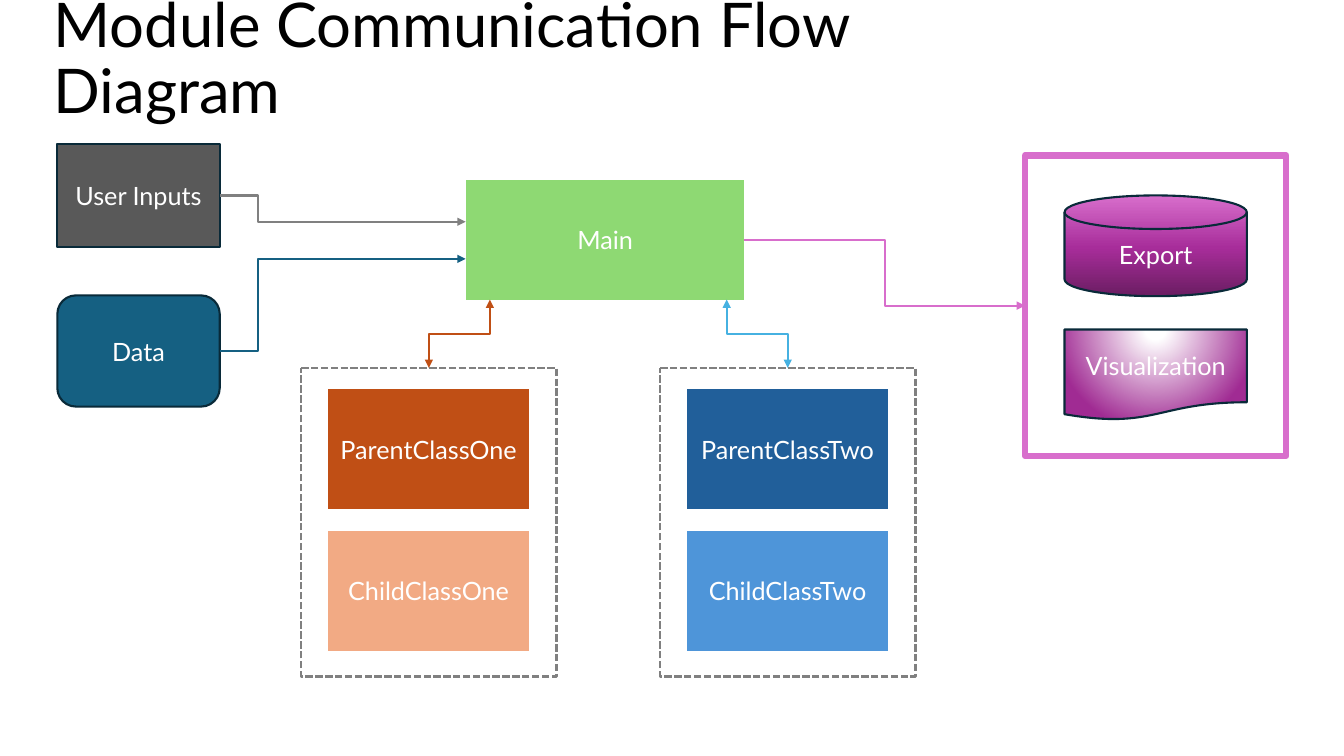
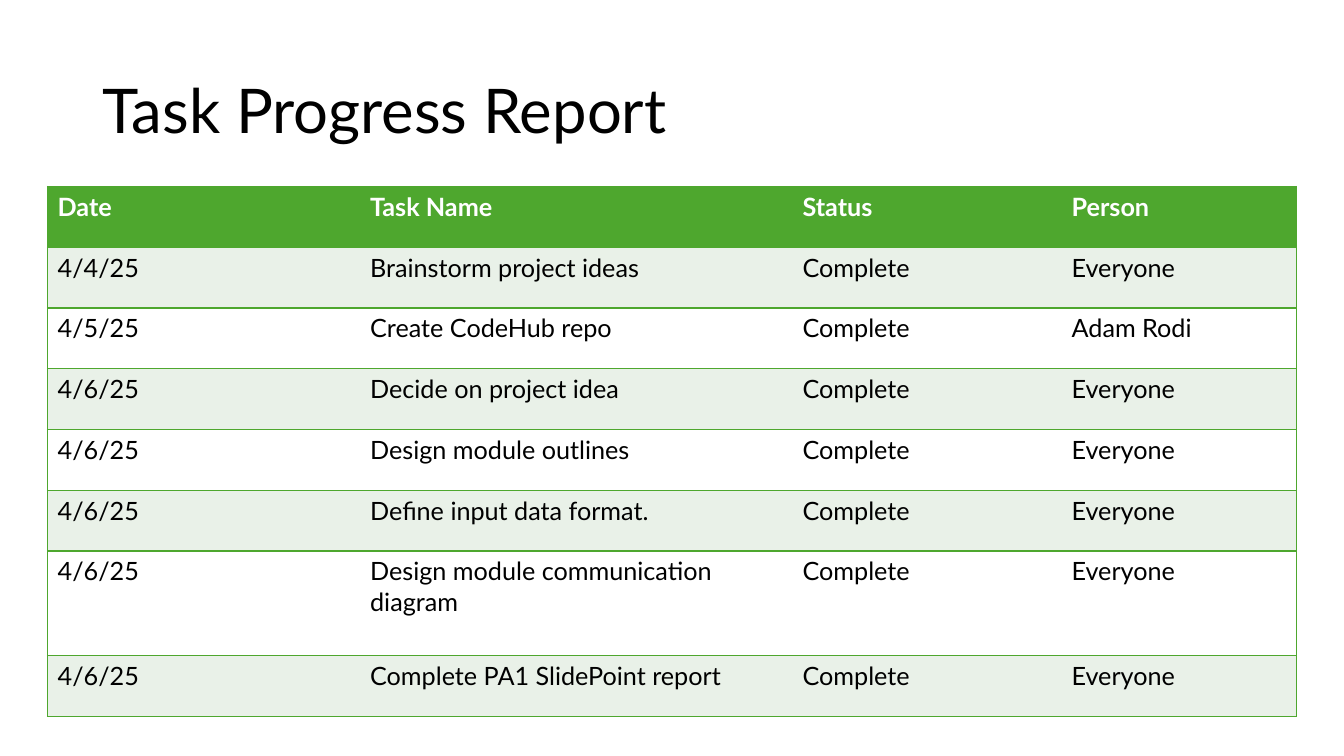
from dataclasses import dataclass

from lxml import etree
from pptx import Presentation
from pptx.dml.color import RGBColor
from pptx.enum.dml import MSO_LINE
from pptx.enum.shapes import MSO_CONNECTOR, MSO_SHAPE
from pptx.enum.text import MSO_ANCHOR, MSO_AUTO_SIZE, PP_ALIGN
from pptx.oxml import parse_xml
from pptx.oxml.ns import nsdecls, qn
from pptx.util import Pt

ELBOW = MSO_CONNECTOR.ELBOW
SYS_DASH = MSO_LINE.SQUARE_DOT
RECTANGLE = MSO_SHAPE.RECTANGLE
ROUNDED = MSO_SHAPE.ROUNDED_RECTANGLE
PROCESS = MSO_SHAPE.FLOWCHART_PROCESS
DISK = MSO_SHAPE.FLOWCHART_MAGNETIC_DISK
DOCUMENT = MSO_SHAPE.FLOWCHART_DOCUMENT
MIDDLE = MSO_ANCHOR.MIDDLE
NO_AUTOFIT = MSO_AUTO_SIZE.NONE
LEFT, CENTER = PP_ALIGN.LEFT, PP_ALIGN.CENTER
TITLE_ONLY = 5


@dataclass(frozen=True)
class Theme:
    font: str = "Lato"
    title_size: float = 44
    text_size: float = 18
    thin: float = 1
    medium: float = 1.5
    dashed: float = 1.75
    thick: float = 4.5
    text: str = "000000"
    white: str = "FFFFFF"
    outline: str = "092A39"
    gray: str = "808080"
    inputs: str = "595959"
    data: str = "156082"
    main: str = "8ED973"
    parent_one: str = "C04F15"
    child_one: str = "F2AA84"
    parent_two: str = "215F9A"
    child_two: str = "4E95D9"
    link_two: str = "46B1E1"
    output: str = "D86ECC"
    table: str = "4EA72E"
    band: str = "E9F1E8"


THEME = Theme()
EXPORT_STOPS = [(0, "6B1D62"), (48, "A72D9A"), (100, THEME.output)]
EXPORT_SHADE = '<a:lin ang="16200000" scaled="0"/>'
VISUAL_STOPS = [(0, THEME.white), (10, THEME.white), (100, "A02B93")]
VISUAL_SHADE = ('<a:path path="circle"><a:fillToRect l="50000" t="-80000" '
                'r="50000" b="180000"/></a:path>')

TASKS = [
    ("Date", "Task Name", "Status", "Person"),
    ("4/4/25", "Brainstorm project ideas", "Complete", "Everyone"),
    ("4/5/25", "Create CodeHub repo", "Complete", "Adam Rodi"),
    ("4/6/25", "Decide on project idea", "Complete", "Everyone"),
    ("4/6/25", "Design module outlines", "Complete", "Everyone"),
    ("4/6/25", "Define input data format.", "Complete", "Everyone"),
    ("4/6/25", "Design module communication diagram", "Complete", "Everyone"),
    ("4/6/25", "Complete PA1 SlidePoint report", "Complete", "Everyone"),
]
COLUMN_WIDTHS = [223.2, 308.9, 192.2, 167.8]
ROW_HEIGHT, TALL_ROW_HEIGHT, TALL_ROW = 43.4, 74.6, 6


def rgb(color):
    return RGBColor.from_string(color)


def points(*lengths):
    return [Pt(length) for length in lengths]


def style_text(frame, size, color, align=LEFT, bold=False):
    for paragraph in frame.paragraphs:
        paragraph.alignment = align
        for run in paragraph.runs:
            run.font.name = THEME.font
            run.font.size = Pt(size)
            run.font.bold = bold
            run.font.color.rgb = rgb(color)


def add_titled_slide(deck, text, at):
    slide = deck.slides.add_slide(deck.slide_layouts[TITLE_ONLY])
    title = slide.shapes.title
    title.left, title.top, title.width, title.height = points(*at)
    frame = title.text_frame
    frame.text = text
    frame.auto_size = NO_AUTOFIT
    frame.vertical_anchor = MIDDLE
    frame.paragraphs[0].line_spacing = 0.9
    style_text(frame, THEME.title_size, THEME.text)
    return slide


def add_box(slide, kind, at, text="", fill=None, line=None, width=THEME.medium):
    box = slide.shapes.add_shape(kind, *points(*at))
    box.shadow.inherit = False
    if fill:
        box.fill.solid()
        box.fill.fore_color.rgb = rgb(fill)
    else:
        box.fill.background()
    if line:
        box.line.color.rgb = rgb(line)
        box.line.width = Pt(width)
    else:
        box.line.fill.background()
    if text:
        box.text_frame.text = text
        box.text_frame.vertical_anchor = MIDDLE
        style_text(box.text_frame, THEME.text_size, THEME.white, CENTER)
    return box


def shade(box, stops, direction):
    """Fill a box with a gradient of (percent, colour) stops."""
    box.fill.gradient()
    properties = box._element.spPr
    marks = "".join(
        f'<a:gs pos="{percent * 1000}"><a:srgbClr val="{color}"/></a:gs>'
        for percent, color in stops)
    properties.replace(
        properties.find(qn("a:gradFill")),
        parse_xml(f'<a:gradFill {nsdecls("a")} rotWithShape="1">'
                  f'<a:gsLst>{marks}</a:gsLst>{direction}</a:gradFill>'))


def add_elbow(slide, start, end, color, bend=50, both_ends=False):
    """Draw a bent arrow; bend is the percentage of the way to its turn."""
    link = slide.shapes.add_connector(ELBOW, *points(*start, *end))
    link.line.color.rgb = rgb(color)
    link.line.width = Pt(THEME.medium)
    properties = link._element.spPr
    guides = properties.find(qn("a:prstGeom")).get_or_add_avLst()
    etree.SubElement(guides, qn("a:gd"), name="adj1",
                     fmla=f"val {round(bend * 1000)}")
    outline = link.line._get_or_add_ln()
    for tip in ("a:headEnd", "a:tailEnd") if both_ends else ("a:tailEnd",):
        etree.SubElement(outline, qn(tip), type="triangle")
    etree.SubElement(properties, qn("a:effectLst"))
    return link


def add_drop_elbow(slide, start, end, color):
    """Draw a two-way bent arrow that leaves and arrives vertically."""
    (x1, y1), (x2, y2) = start, end
    turn = 1 if x2 < x1 else -1
    middle_x, middle_y = (x1 + x2) / 2, (y1 + y2) / 2
    half_x, half_y = turn * (y1 - y2) / 2, turn * (x2 - x1) / 2
    link = add_elbow(slide, (middle_x + half_x, middle_y + half_y),
                     (middle_x - half_x, middle_y - half_y), color,
                     both_ends=True)
    link._element.spPr.find(qn("a:xfrm")).set(
        "rot", str(turn * 90 % 360 * 60000))


def add_class_group(slide, left, parent, child):
    """Draw a dashed frame around a parent and a child (text, fill)."""
    frame = add_box(slide, PROCESS, (left, 262.8, 182.2, 220.3),
                    line=THEME.gray, width=THEME.dashed)
    frame.line.dash_style = SYS_DASH
    for row, (text, fill) in enumerate((parent, child)):
        add_box(slide, PROCESS, (left + 19, 278 + row * 101, 144, 85.7),
                text, fill)


def set_borders(cell, sides):
    """Rule the given sides (of LRTB) of a cell and clear the others."""
    properties = cell._tc.get_or_add_tcPr()
    for position, side in enumerate("LRTB"):
        fill = (f'<a:solidFill><a:srgbClr val="{THEME.table}"/></a:solidFill>'
                if side in sides else "<a:noFill/>")
        properties.insert(position, parse_xml(
            f'<a:ln{side} {nsdecls("a")} w="{Pt(THEME.thin)}">'
            f'{fill}</a:ln{side}>'))


def add_task_table(slide, left, top):
    height = ROW_HEIGHT * (len(TASKS) - 1) + TALL_ROW_HEIGHT
    table = slide.shapes.add_table(
        len(TASKS), len(COLUMN_WIDTHS),
        *points(left, top, sum(COLUMN_WIDTHS), height)).table
    table.horz_banding = False
    for column, width in zip(table.columns, COLUMN_WIDTHS):
        column.width = Pt(width)
    last = len(COLUMN_WIDTHS) - 1
    for r, task in enumerate(TASKS):
        header = r == 0
        table.rows[r].height = Pt(
            TALL_ROW_HEIGHT if r == TALL_ROW else ROW_HEIGHT)
        band = THEME.band if r % 2 else THEME.white
        for c, text in enumerate(task):
            cell = table.cell(r, c)
            cell.text = text
            cell.fill.solid()
            cell.fill.fore_color.rgb = rgb(THEME.table if header else band)
            style_text(cell.text_frame, THEME.text_size,
                       THEME.white if header else THEME.text, bold=header)
            set_borders(cell, "TB" + "L" * (c == 0) + "R" * (c == last))


def build_flow_slide(deck):
    slide = add_titled_slide(deck, "Module Communication Flow Diagram",
                             (31, 11.5, 738, 63.4))
    add_box(slide, RECTANGLE, (41, 103, 116, 73.4), "User Inputs",
            THEME.inputs, THEME.outline)
    add_box(slide, ROUNDED, (41, 211, 116, 79.4), "Data",
            THEME.data, THEME.outline)
    add_box(slide, PROCESS, (332.6, 128.4, 199.2, 85.6), "Main", THEME.main)
    add_class_group(slide, 215.2, ("ParentClassOne", THEME.parent_one),
                    ("ChildClassOne", THEME.child_one))
    add_class_group(slide, 471.6, ("ParentClassTwo", THEME.parent_two),
                    ("ChildClassTwo", THEME.child_two))

    add_box(slide, PROCESS, (732.2, 111, 186.6, 214.6),
            line=THEME.output, width=THEME.thick)
    export = add_box(slide, DISK, (760.4, 139.6, 130.2, 72), "Export",
                     line=THEME.outline)
    shade(export, EXPORT_STOPS, EXPORT_SHADE)
    visualization = add_box(slide, DOCUMENT, (760.4, 235.4, 130.2, 64.8),
                            "Visualization", line=THEME.outline)
    shade(visualization, VISUAL_STOPS, VISUAL_SHADE)

    add_elbow(slide, (157, 139.7), (332.6, 158.4), THEME.gray, bend=15.4)
    add_elbow(slide, (157, 250.7), (332.6, 185), THEME.data, bend=15.4)
    add_elbow(slide, (531.8, 171.2), (732.2, 218.3), THEME.output)
    add_drop_elbow(slide, (349.9, 214), (306.3, 262.8), THEME.parent_one)
    add_drop_elbow(slide, (519.1, 214), (562.7, 262.8), THEME.link_two)


def build_progress_slide(deck):
    slide = add_titled_slide(deck, "Task Progress Report",
                             (66, 28.8, 828, 104.4))
    add_task_table(slide, 34, 133.2)


def main():
    deck = Presentation()
    deck.slide_width, deck.slide_height = points(960, 540)
    build_flow_slide(deck)
    build_progress_slide(deck)
    deck.save("out.pptx")


if __name__ == "__main__":
    main()
